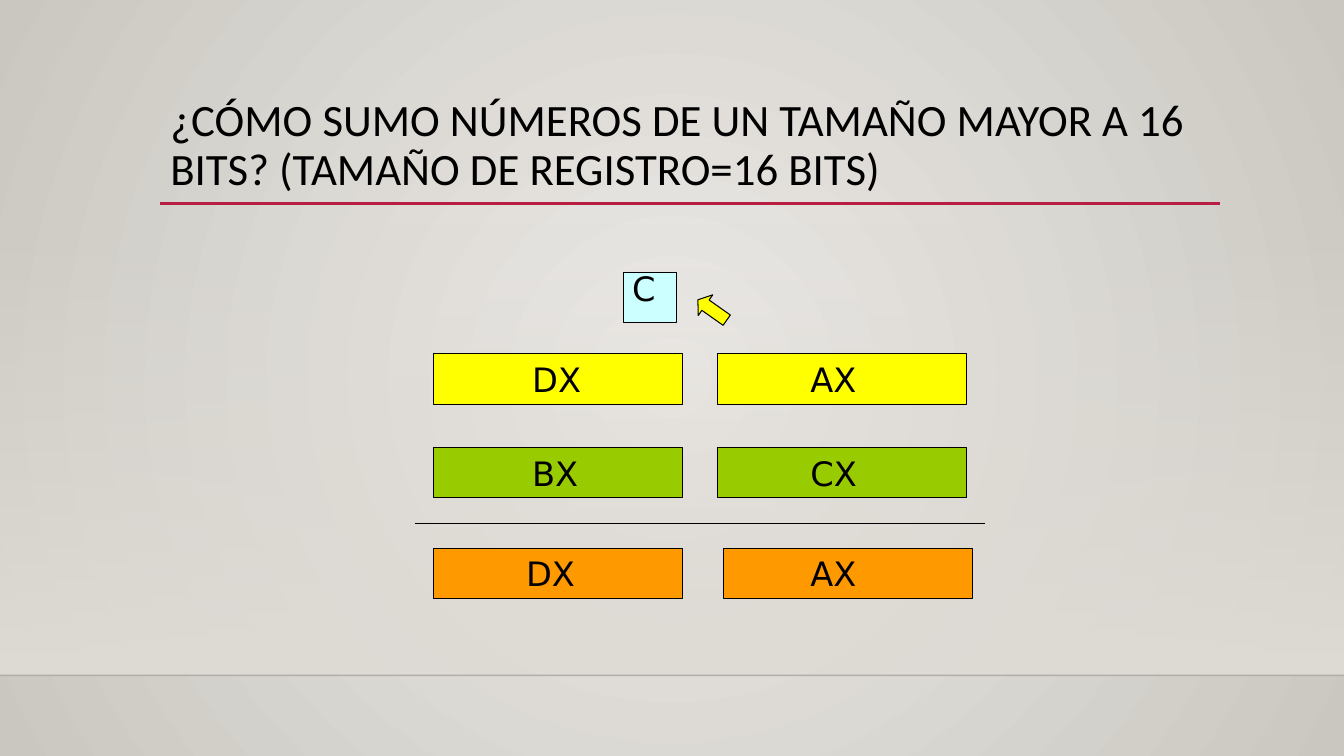
from dataclasses import dataclass

from lxml.etree import SubElement
from pptx import Presentation
from pptx.dml.color import RGBColor
from pptx.enum.shapes import MSO_CONNECTOR as Connector, MSO_SHAPE as Preset
from pptx.enum.text import MSO_ANCHOR as Anchor, MSO_AUTO_SIZE as AutoSize, PP_ALIGN as Align
from pptx.oxml import parse_xml
from pptx.oxml.ns import nsdecls, qn
from pptx.util import Inches, Pt

BLACK = RGBColor(0x00, 0x00, 0x00)
CRIMSON = RGBColor(0xB7, 0x1E, 0x42)
YELLOW = RGBColor(0xFF, 0xFF, 0x00)
GREEN = RGBColor(0x99, 0xCC, 0x00)
ORANGE = RGBColor(0xFF, 0x99, 0x00)
PALE_CYAN = RGBColor(0xCC, 0xFF, 0xFF)
CENTER_GREY = RGBColor(0xEC, 0xEA, 0xE7)
EDGE_GREY = RGBColor(0xCA, 0xC7, 0xC1)
WALL_GREY = RGBColor(0xDF, 0xDB, 0xD5)

RADIAL = ('<a:path path="circle"><a:fillToRect l="50000" t="50000" r="50000" b="50000"/></a:path>')
DOWNWARD = '<a:lin ang="5400000" scaled="0"/>'
BOX_HEIGHT = 0.5
REGISTER_WIDTH = 2.47


@dataclass(frozen=True)
class Register:
    """A register box and the left edge and width of its label."""
    name: str
    left: float
    top: float
    color: RGBColor
    label_left: float
    label_width: float


REGISTERS = [
    Register("DX", 4.3, 3.51, YELLOW, 5.18, 0.94),
    Register("AX", 7.12, 3.51, YELLOW, 7.94, 0.76),
    Register("BX", 4.3, 4.44, GREEN, 5.18, 0.94),
    Register("CX", 7.12, 4.44, GREEN, 7.94, 0.76),
    Register("DX", 4.3, 5.44, ORANGE, 5.12, 1),
    Register("AX", 7.18, 5.44, ORANGE, 7.94, 0.84),
]


def gradient(start: RGBColor, end: RGBColor, direction: str, start_alpha: int = 100):
    """Return a two-stop gradient fill element."""
    return parse_xml(
        f'<a:gradFill {nsdecls("a")} rotWithShape="1"><a:gsLst>'
        f'<a:gs pos="0"><a:srgbClr val="{start}"><a:alpha val="{start_alpha * 1000}"/></a:srgbClr></a:gs>'
        f'<a:gs pos="100000"><a:srgbClr val="{end}"/></a:gs>'
        f'</a:gsLst>{direction}</a:gradFill>')


def add_box(shapes, left: float, top: float, width: float, height: float,
            color: RGBColor, preset=Preset.RECTANGLE):
    """Add a filled preset shape with a thin black outline."""
    shape = shapes.add_shape(preset, Inches(left), Inches(top), Inches(width), Inches(height))
    shape.shadow.inherit = False
    shape.fill.solid()
    shape.fill.fore_color.rgb = color
    shape.line.color.rgb = BLACK
    shape.line.width = Pt(0.75)
    return shape


def add_rule(shapes, left: float, right: float, top: float, color: RGBColor, weight: float):
    """Add a horizontal line without shadow."""
    rule = shapes.add_connector(Connector.STRAIGHT, Inches(left), Inches(top), Inches(right), Inches(top))
    rule.line.color.rgb = color
    rule.line.width = Pt(weight)
    SubElement(rule._element.spPr, qn("a:effectLst"))
    return rule


def write_text(frame, text: str, *, font: str, size: float, color: RGBColor = BLACK,
               spacing: float = 1.0, anchor=Anchor.TOP, auto_size=AutoSize.NONE) -> None:
    """Write one left-aligned paragraph with the given format."""
    frame.word_wrap = True
    frame.auto_size = auto_size
    frame.vertical_anchor = anchor
    paragraph = frame.paragraphs[0]
    paragraph.alignment = Align.LEFT
    paragraph.line_spacing = spacing
    run = paragraph.add_run()
    run.text = text
    run.font.name = font
    run.font.size = Pt(size)
    run.font.color.rgb = color


def add_label(shapes, text: str, left: float, top: float, width: float) -> None:
    """Add a register label as a text box."""
    label = shapes.add_textbox(Inches(left), Inches(top), Inches(width), Inches(BOX_HEIGHT))
    write_text(label.text_frame, text, font="DejaVu Sans", size=24, auto_size=AutoSize.SHAPE_TO_FIT_TEXT)


def draw_backdrop(slide) -> None:
    """Draw the radial background, the wall, the floor edge and the title rule."""
    slide.background.fill.solid()
    properties = slide.background._cSld.bg.bgPr
    properties.replace(properties.find(qn("a:solidFill")), gradient(CENTER_GREY, EDGE_GREY, RADIAL))
    wall = add_box(slide.shapes, 0, 2.21, 13.33, 4.49, WALL_GREY)
    wall.line.fill.background()
    wall_properties = wall._element.spPr
    wall_properties.replace(wall_properties.find(qn("a:solidFill")),
                            gradient(WALL_GREY, WALL_GREY, DOWNWARD, start_alpha=0))
    floor_edge = add_rule(slide.shapes, 0, 13.33, 6.7, BLACK, 1)
    line_color = floor_edge._element.spPr.find(".//" + qn("a:srgbClr"))
    SubElement(line_color, qn("a:alpha"), val="20000")
    add_rule(slide.shapes, 1.59, 12.1, 2.02, CRIMSON, 2.5)


def draw_title(slide) -> None:
    """Place and fill the title placeholder."""
    title = slide.shapes.title
    title.left, title.top, title.width, title.height = map(Inches, (1.59, 0.88, 10.5, 1.15))
    write_text(title.text_frame, "¿CÓMO SUMO NÚMEROS DE UN TAMAÑO MAYOR A 16 BITS? (TAMAÑO DE REGISTRO=16 BITS)",
               font="Calibri", size=32, spacing=0.9, anchor=Anchor.MIDDLE)


def draw_addition(slide) -> None:
    """Draw the register addition with its carry flag."""
    shapes = slide.shapes.add_group_shape().shapes
    for register in REGISTERS:
        add_box(shapes, register.left, register.top, REGISTER_WIDTH, BOX_HEIGHT, register.color)
        add_label(shapes, register.name, register.label_left, register.top, register.label_width)
    add_rule(shapes, 4.12, 9.77, 5.19, BLACK, 0.75)
    add_box(shapes, 6.18, 2.7, 0.53, BOX_HEIGHT, PALE_CYAN)
    carry_arrow = add_box(shapes, 6.94, 2.9, 0.25, 0.35, YELLOW, Preset.UP_ARROW)
    carry_arrow.adjustments[1] = 0.37
    carry_arrow.rotation = 305.2
    add_label(shapes, "C", 6.17, 2.61, 0.41)


def main() -> None:
    """Build and save the presentation."""
    presentation = Presentation()
    presentation.slide_width, presentation.slide_height = Inches(13.33), Inches(7.5)
    slide = presentation.slides.add_slide(presentation.slide_layouts[5])
    draw_backdrop(slide)
    draw_title(slide)
    draw_addition(slide)
    presentation.save("out.pptx")


main()
